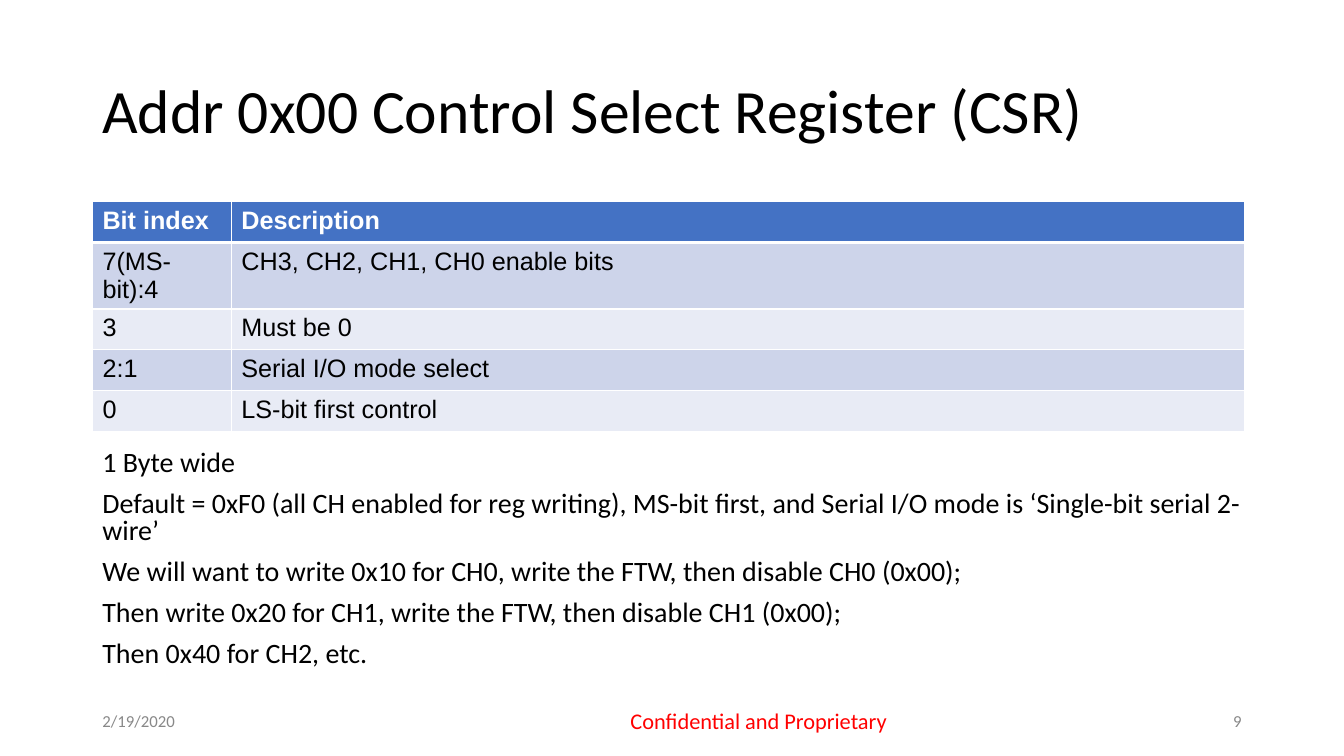
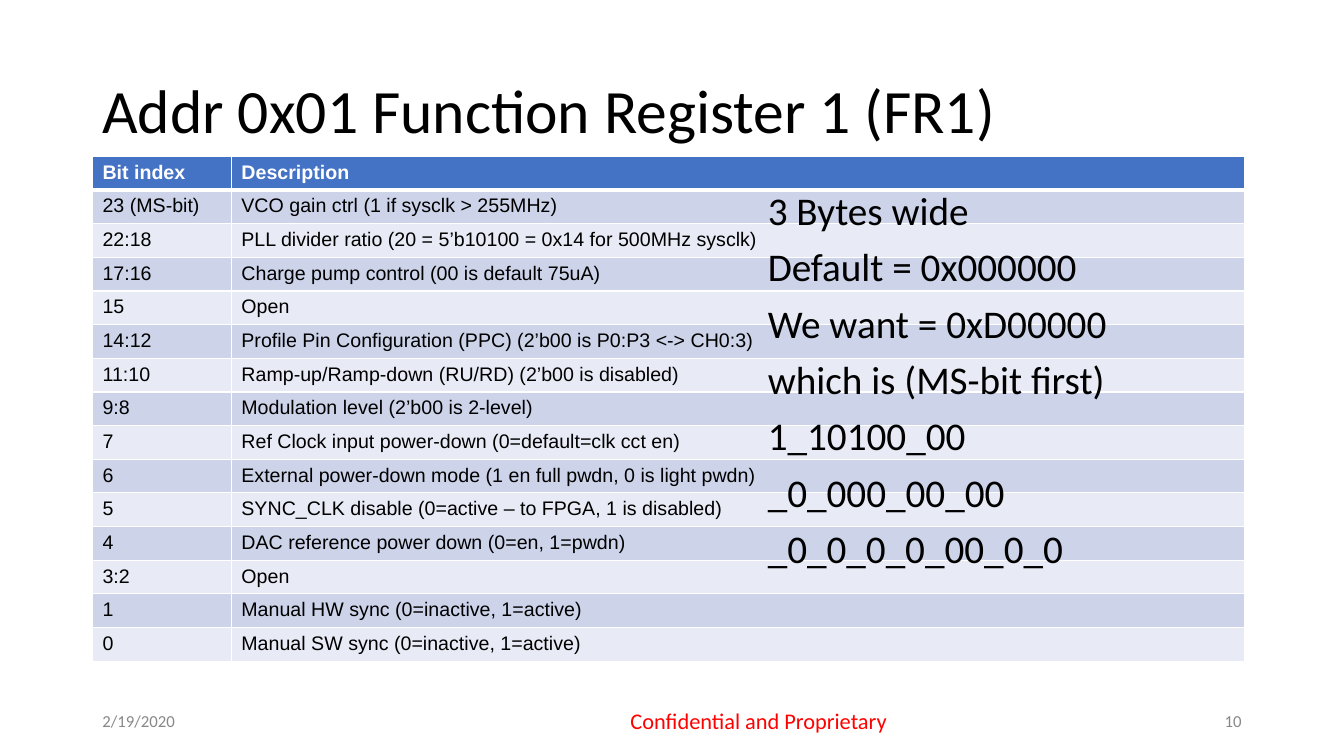
from dataclasses import dataclass

from lxml.etree import SubElement
from pptx import Presentation
from pptx.dml.color import RGBColor
from pptx.enum.text import MSO_ANCHOR as Anchor, PP_ALIGN as Align
from pptx.oxml.ns import qn
from pptx.slide import Slide
from pptx.table import _Cell as Cell
from pptx.util import Cm, Pt

BLACK = RGBColor(0x00, 0x00, 0x00)
WHITE = RGBColor(0xFF, 0xFF, 0xFF)
GREY = RGBColor(0x88, 0x88, 0x88)
RED = RGBColor(0xFF, 0x00, 0x00)
HEADER_BLUE = RGBColor(0x44, 0x72, 0xC4)
BANDS = (RGBColor(0xE8, 0xEB, 0xF5), RGBColor(0xCD, 0xD4, 0xEA))

TEXT_FONT = "Calibri"
TABLE_FONT = "Arial"
LEFT = 2.33
WIDTH = 29.21
FOOTER_TOP = 17.65
FOOTER_HEIGHT = 1.01
COLUMN_WIDTHS = (3.5, 25.53)
TABLE_HEADER = ("Bit index", "Description")
THIN, THICK = 1, 3


@dataclass(frozen=True)
class Area:
    left: float
    top: float
    width: float
    height: float


@dataclass(frozen=True)
class TextStyle:
    size: float
    color: RGBColor = BLACK
    align: Align = Align.LEFT
    anchor: Anchor = Anchor.MIDDLE
    line_spacing: float = 1.0
    space_before: float = 0


@dataclass(frozen=True)
class Register:
    number: int
    title: str
    table_top: float
    row_height: float
    table_size: float
    bits: tuple[tuple[str, str], ...]
    body_area: Area
    body_style: TextStyle
    body_lines: tuple[str, ...]


TITLE_AREA = Area(LEFT, 1.01, WIDTH, 3.68)
TITLE_STYLE = TextStyle(44, line_spacing=0.9)
DATE_AREA = Area(LEFT, FOOTER_TOP, 7.62, FOOTER_HEIGHT)
DATE_STYLE = TextStyle(12, GREY)
NOTICE_AREA = Area(15.6, FOOTER_TOP, 7.04, FOOTER_HEIGHT)
NOTICE_STYLE = TextStyle(16, RED, Align.CENTER)
NUMBER_AREA = Area(LEFT + WIDTH - 7.62, FOOTER_TOP, 7.62, FOOTER_HEIGHT)
NUMBER_STYLE = TextStyle(12, GREY, Align.RIGHT)

REGISTERS = (
    Register(
        number=9,
        title="Addr 0x00 Control Select Register (CSR)",
        table_top=5.08,
        row_height=1.03,
        table_size=18,
        bits=(
            ("7(MS-bit):4", "CH3, CH2, CH1, CH0 enable bits"),
            ("3", "Must be 0"),
            ("2:1", "Serial I/O mode select"),
            ("0", "LS-bit first control"),
        ),
        body_area=Area(LEFT, 11.25, WIDTH, 5.9),
        body_style=TextStyle(20, anchor=Anchor.TOP, line_spacing=0.8, space_before=10),
        body_lines=(
            "1 Byte wide",
            "Default = 0xF0 (all CH enabled for reg writing), MS-bit first, "
            "and Serial I/O mode is ‘Single-bit serial 2-wire’",
            "We will want to write 0x10 for CH0, write the FTW, then disable CH0 (0x00);",
            "Then write 0x20 for CH1, write the FTW, then disable CH1 (0x00);",
            "Then 0x40 for CH2, etc.",
        ),
    ),
    Register(
        number=10,
        title="Addr 0x01 Function Register 1 (FR1)",
        table_top=3.94,
        row_height=0.48,
        table_size=14,
        bits=(
            ("23 (MS-bit)", "VCO gain ctrl (1 if sysclk > 255MHz)"),
            ("22:18", "PLL divider ratio (20 = 5’b10100 = 0x14 for 500MHz sysclk)"),
            ("17:16", "Charge pump control (00 is default 75uA)"),
            ("15", "Open"),
            ("14:12", "Profile Pin Configuration (PPC) (2’b00 is P0:P3 <-> CH0:3)"),
            ("11:10", "Ramp-up/Ramp-down (RU/RD) (2’b00 is disabled)"),
            ("9:8", "Modulation level (2’b00 is 2-level)"),
            ("7", "Ref Clock input power-down (0=default=clk cct en)"),
            ("6", "External power-down mode (1 en full pwdn, 0 is light pwdn)"),
            ("5", "SYNC_CLK disable (0=active – to FPGA, 1 is disabled)"),
            ("4", "DAC reference power down (0=en, 1=pwdn)"),
            ("3:2", "Open"),
            ("1", "Manual HW sync (0=inactive, 1=active)"),
            ("0", "Manual SW sync (0=inactive, 1=active)"),
        ),
        body_area=Area(19.1, 4.7, 12.44, 12.47),
        body_style=TextStyle(28, anchor=Anchor.TOP, line_spacing=0.9, space_before=10),
        body_lines=(
            "3 Bytes wide",
            "Default = 0x000000",
            "We want = 0xD00000",
            "which is (MS-bit first)",
            "1_10100_00",
            "_0_000_00_00",
            "_0_0_0_0_00_0_0",
        ),
    ),
)


def add_text(page: Slide, area: Area, style: TextStyle, *lines: str) -> None:
    box = page.shapes.add_textbox(
        Cm(area.left), Cm(area.top), Cm(area.width), Cm(area.height)
    )
    frame = box.text_frame
    frame.word_wrap = True
    frame.vertical_anchor = style.anchor
    for index, line in enumerate(lines):
        para = frame.add_paragraph() if index else frame.paragraphs[0]
        para.alignment = style.align
        para.line_spacing = style.line_spacing
        para.space_before = Pt(style.space_before if index else 0)
        span = para.add_run()
        span.text = line
        span.font.name = TEXT_FONT
        span.font.size = Pt(style.size)
        span.font.color.rgb = style.color


def set_borders(cell: Cell, top: float, bottom: float) -> None:
    properties = cell._tc.get_or_add_tcPr()
    for side, width in (("L", THIN), ("R", THIN), ("T", top), ("B", bottom)):
        line = SubElement(properties, qn(f"a:ln{side}"), w=str(Pt(width)))
        fill = SubElement(line, qn("a:solidFill"))
        SubElement(fill, qn("a:srgbClr"), val=str(WHITE))


def fill_cell(cell: Cell, text: str, size: float, row: int) -> None:
    is_header = row == 0
    set_borders(cell, THICK if row == 1 else THIN, THICK if is_header else THIN)
    cell.fill.solid()
    cell.fill.fore_color.rgb = HEADER_BLUE if is_header else BANDS[row % 2]
    span = cell.text_frame.paragraphs[0].add_run()
    span.text = text
    span.font.name = TABLE_FONT
    span.font.size = Pt(size)
    span.font.bold = is_header
    span.font.color.rgb = WHITE if is_header else BLACK


def add_bit_table(page: Slide, register: Register) -> None:
    rows = (TABLE_HEADER, *register.bits)
    table = page.shapes.add_table(
        len(rows),
        len(COLUMN_WIDTHS),
        Cm(LEFT),
        Cm(register.table_top),
        Cm(sum(COLUMN_WIDTHS)),
        Cm(register.row_height * len(rows)),
    ).table
    for column, width in zip(table.columns, COLUMN_WIDTHS):
        column.width = Cm(width)
    for row, texts in enumerate(rows):
        table.rows[row].height = Cm(register.row_height)
        for column, text in enumerate(texts):
            fill_cell(table.cell(row, column), text, register.table_size, row)


def add_register_page(page: Slide, register: Register) -> None:
    add_bit_table(page, register)
    add_text(page, TITLE_AREA, TITLE_STYLE, register.title)
    add_text(page, register.body_area, register.body_style, *register.body_lines)
    add_text(page, DATE_AREA, DATE_STYLE, "2/19/2020")
    add_text(page, NOTICE_AREA, NOTICE_STYLE, "Confidential and Proprietary")
    add_text(page, NUMBER_AREA, NUMBER_STYLE, str(register.number))


def main() -> None:
    deck = Presentation()
    deck.slide_width = Cm(33.87)
    deck.slide_height = Cm(19.05)
    blank = deck.slide_layouts[6]
    for register in REGISTERS:
        add_register_page(deck.slides.add_slide(blank), register)
    deck.save("out.pptx")


if __name__ == "__main__":
    main()
